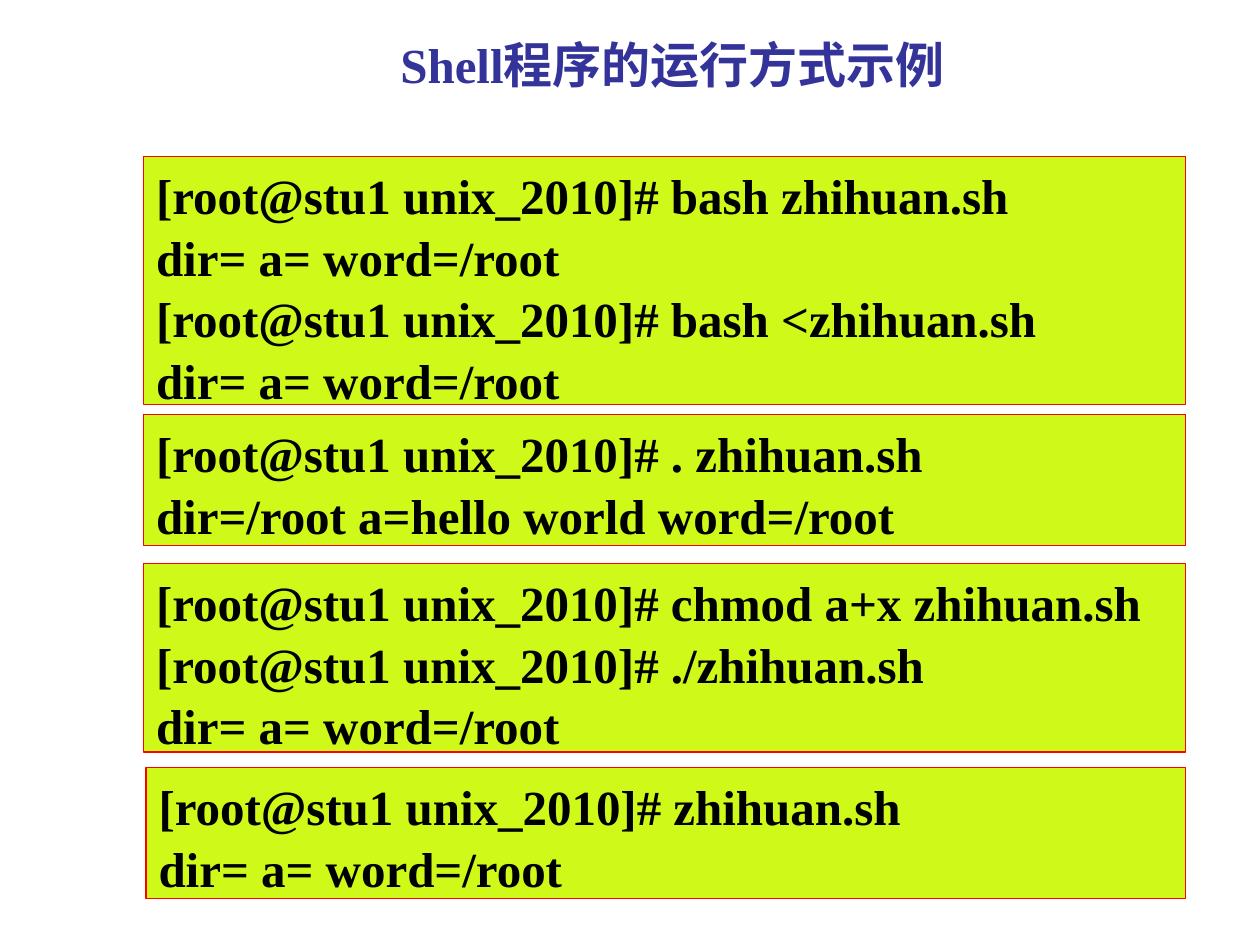
from pptx import Presentation
from pptx.dml.color import RGBColor
from pptx.enum.shapes import MSO_SHAPE as Shape
from pptx.enum.text import MSO_ANCHOR as Anchor, PP_ALIGN as Align
from pptx.util import Inches, Pt

COLORS = {"title": "333399", "text": "000000", "panel": "CEF919", "border": "FF0000"}
FONT = "Times New Roman"
TITLE = "Shell程序的运行方式示例"
PROMPT = "[root@stu1 unix_2010]# "
EMPTY_RESULT = "dir= a= word=/root"
RIGHT = 9.41
PANELS = [
    (1.14, 1.24, 1.97, [PROMPT + "bash zhihuan.sh", EMPTY_RESULT,
                        PROMPT + "bash <zhihuan.sh", EMPTY_RESULT]),
    (1.14, 3.29, 1.04, [PROMPT + ". zhihuan.sh", "dir=/root a=hello world word=/root"]),
    (1.14, 4.47, 1.5, [PROMPT + "chmod a+x zhihuan.sh", PROMPT + "./zhihuan.sh", EMPTY_RESULT]),
    (1.16, 6.09, 1.04, [PROMPT + "zhihuan.sh", EMPTY_RESULT]),
]


def color(name):
    return RGBColor.from_string(COLORS[name])


def write(shape, lines, *, ink="text", align=Align.LEFT, anchor=Anchor.TOP, spacing=1.05):
    frame = shape.text_frame
    frame.word_wrap = True
    frame.vertical_anchor = anchor
    frame.text = "\n".join(lines)
    for paragraph in frame.paragraphs:
        paragraph.alignment = align
        paragraph.line_spacing = spacing
        font = paragraph.runs[0].font
        font.name, font.size, font.bold = FONT, Pt(28), True
        font.color.rgb = color(ink)


def add_panel(slide, left, top, height, lines):
    panel = slide.shapes.add_shape(Shape.RECTANGLE, Inches(left), Inches(top),
                                   Inches(RIGHT - left), Inches(height))
    panel.shadow.inherit = False
    panel.fill.solid()
    panel.fill.fore_color.rgb = color("panel")
    panel.line.color.rgb = color("border")
    panel.line.width = Pt(0.75)
    write(panel, lines)


def main():
    """Build the slide on ways to run a shell script."""
    presentation = Presentation()
    presentation.slide_width, presentation.slide_height = Inches(10), Inches(7.5)
    slide = presentation.slides.add_slide(presentation.slide_layouts[6])
    title = slide.shapes.add_textbox(Inches(0.67), Inches(0.21), Inches(9.33), Inches(0.6))
    write(title, [TITLE], ink="title", align=Align.CENTER, anchor=Anchor.MIDDLE, spacing=1.0)
    for panel in PANELS:
        add_panel(slide, *panel)
    presentation.save("out.pptx")


if __name__ == "__main__":
    main()
